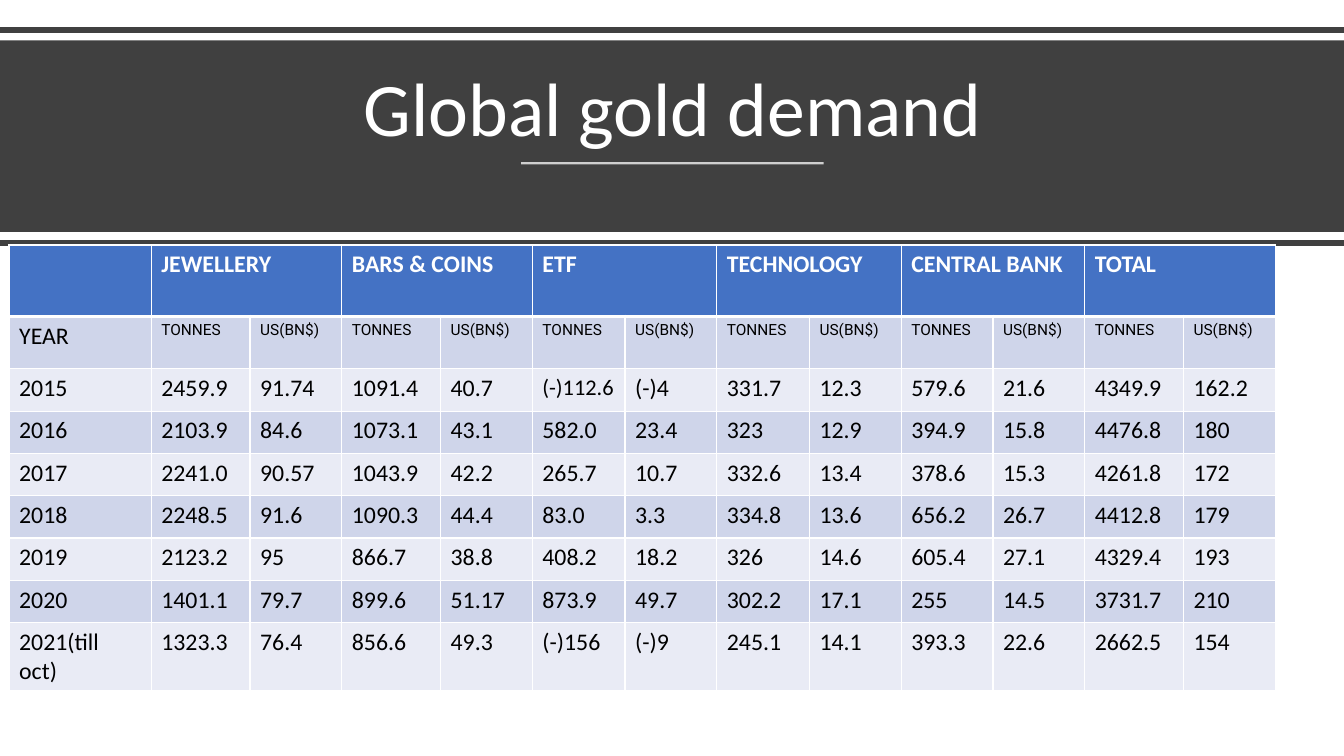
from lxml import etree
from pptx import Presentation, util as u
from pptx.dml.color import RGBColor
from pptx.enum import shapes, text
from pptx.oxml import ns

TITLE = "Global gold demand"
GROUPS = ["JEWELLERY", "BARS & COINS", "ETF", "TECHNOLOGY", "CENTRAL BANK", "TOTAL"]
UNITS = ["TONNES", "US(BN$)"]
YEARS = [
    ("2015", "2459.9", "91.74", "1091.4", "40.7", "(-)112.6", "(-)4",
     "331.7", "12.3", "579.6", "21.6", "4349.9", "162.2"),
    ("2016", "2103.9", "84.6", "1073.1", "43.1", "582.0", "23.4",
     "323", "12.9", "394.9", "15.8", "4476.8", "180"),
    ("2017", "2241.0", "90.57", "1043.9", "42.2", "265.7", "10.7",
     "332.6", "13.4", "378.6", "15.3", "4261.8", "172"),
    ("2018", "2248.5", "91.6", "1090.3", "44.4", "83.0", "3.3",
     "334.8", "13.6", "656.2", "26.7", "4412.8", "179"),
    ("2019", "2123.2", "95", "866.7", "38.8", "408.2", "18.2",
     "326", "14.6", "605.4", "27.1", "4329.4", "193"),
    ("2020", "1401.1", "79.7", "899.6", "51.17", "873.9", "49.7",
     "302.2", "17.1", "255", "14.5", "3731.7", "210"),
    ("2021(till oct)", "1323.3", "76.4", "856.6", "49.3", "(-)156", "(-)9",
     "245.1", "14.1", "393.3", "22.6", "2662.5", "154"),
]
COLUMN_WIDTHS = [141, 98, 91, 98, 91, 92, 91, 92, 91, 91, 91, 98, 91]
ROW_HEIGHTS = [71, 52] + [42] * 6 + [67]
SMALLER_VALUE = "(-)112.6"

PX = u.Inches(1) // 100
WIDTH, HEIGHT = 1333, 750
DARK, WHITE, BLACK = "404040", "FFFFFF", "000000"
HEADER, BANDS = "4472C4", ("E9EBF5", "CFD5EA")


def px(*lengths):
    return [length * PX for length in lengths]


def color(value):
    return RGBColor.from_string(value)


def style(paragraph, size, value, name="Calibri", bold=False):
    for span in paragraph.runs:
        font = span.font
        font.size, font.name, font.bold = u.Pt(size), name, bold
        font.color.rgb = color(value)


def add_rule(page, left, right, y, value, weight, opacity=100):
    rule = page.shapes.add_connector(shapes.MSO_CONNECTOR.STRAIGHT, *px(left, y, right, y))
    rule.line.color.rgb = color(value)
    rule.line.width = u.Pt(weight)
    etree.SubElement(rule._element.spPr, ns.qn("a:effectLst"))
    if opacity < 100:
        tint = rule._element.spPr.find(".//" + ns.qn("a:srgbClr"))
        etree.SubElement(tint, ns.qn("a:alpha"), val=str(opacity * 1000))


def add_borders(cell, top, bottom):
    """White borders; the side borders are 1 pt wide."""
    properties = cell._tc.get_or_add_tcPr()
    for side, weight in (("L", 1), ("R", 1), ("T", top), ("B", bottom)):
        line = etree.SubElement(properties, ns.qn("a:ln" + side), w=str(u.Pt(weight)))
        fill = etree.SubElement(line, ns.qn("a:solidFill"))
        etree.SubElement(fill, ns.qn("a:srgbClr"), val=WHITE)


def add_banner(page):
    add_rule(page, 0, WIDTH, 30, DARK, 4)
    band = page.shapes.add_shape(shapes.MSO_SHAPE.RECTANGLE, *px(0, 40, WIDTH, 190))
    band.shadow.inherit = False
    band.fill.solid()
    band.fill.fore_color.rgb = color(DARK)
    band.line.fill.background()

    box = page.shapes.add_textbox(*px(58, 54, 1218, 102))
    frame = box.text_frame
    frame.word_wrap = True
    frame.vertical_anchor = text.MSO_ANCHOR.BOTTOM
    frame.text = TITLE
    para = frame.paragraphs[0]
    para.alignment = text.PP_ALIGN.CENTER
    para.line_spacing = 0.9
    style(para, 54, WHITE)

    add_rule(page, 517, 817, 162, WHITE, 1.5, opacity=75)
    add_rule(page, 0, WIDTH, 241, DARK, 4)


def add_demand_table(page):
    header = [""] + [label for group in GROUPS for label in (group, "")]
    rows = [header, ["YEAR"] + UNITS * len(GROUPS), *YEARS]
    table = page.shapes.add_table(
        len(rows), len(header),
        *px(9, 243, sum(COLUMN_WIDTHS), sum(ROW_HEIGHTS))).table
    for column, width in zip(table.columns, COLUMN_WIDTHS):
        column.width = width * PX
    for row, height in zip(table.rows, ROW_HEIGHTS):
        row.height = height * PX

    for r, values in enumerate(rows):
        for c, value in enumerate(values):
            cell = table.cell(r, c)
            add_borders(cell, top=3 if r == 1 else 1, bottom=3 if r == 0 else 1)
            cell.fill.solid()
            cell.fill.fore_color.rgb = color(BANDS[r % 2] if r else HEADER)
            cell.text = value
            para = cell.text_frame.paragraphs[0]
            if r == 0:
                style(para, 17, WHITE, bold=True)
            elif value in UNITS:
                style(para, 11, BLACK, "Roboto")
            else:
                style(para, 16 if value == SMALLER_VALUE else 17, BLACK)

    for c in range(1, len(header), len(UNITS)):
        table.cell(0, c).merge(table.cell(0, c + 1))


def main():
    deck = Presentation()
    deck.slide_width, deck.slide_height = px(WIDTH, HEIGHT)
    page = deck.slides.add_slide(deck.slide_layouts[6])
    add_banner(page)
    add_demand_table(page)
    deck.save("out.pptx")


if __name__ == "__main__":
    main()
